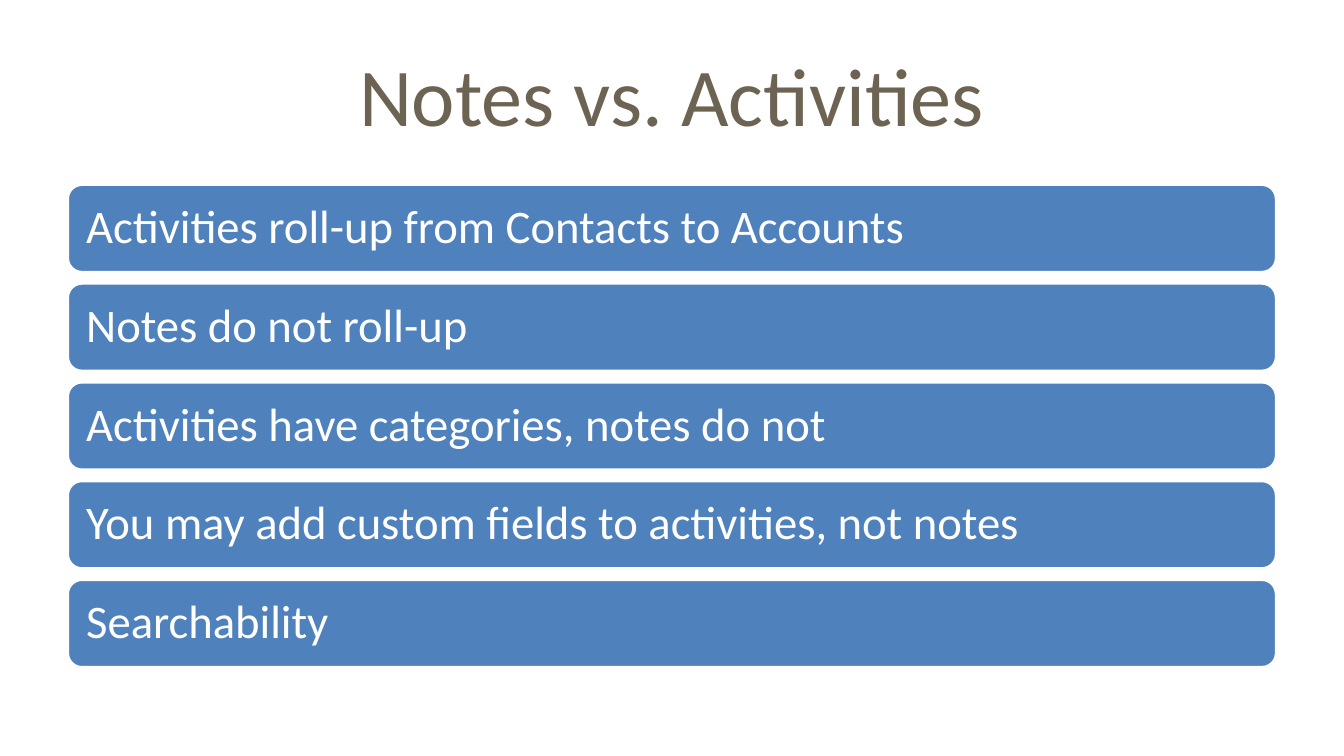
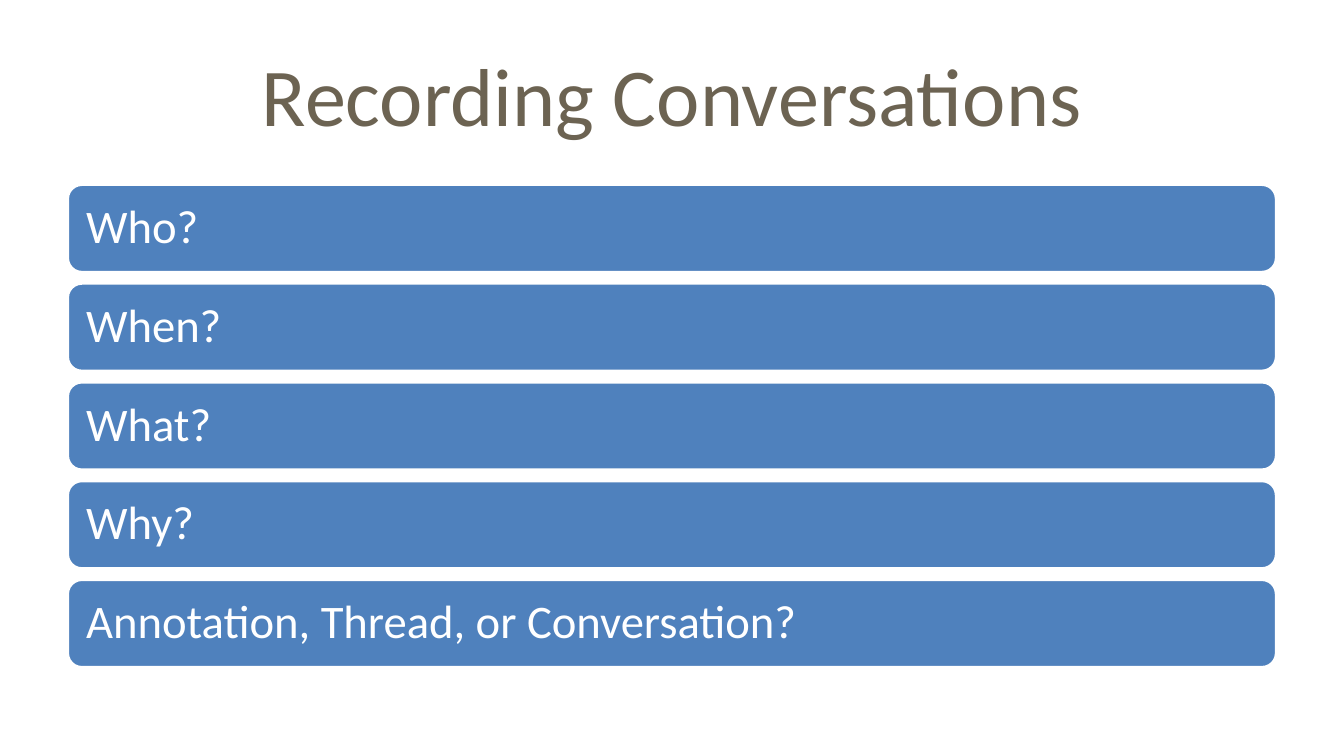
from pptx import Presentation
from pptx import util as u
from pptx.dml.color import RGBColor
from pptx.enum import shapes, text

# Shared style
TAUPE = RGBColor(0x6C, 0x63, 0x52)
BLUE = RGBColor(0x4F, 0x81, 0xBD)
WHITE = RGBColor(0xFF, 0xFF, 0xFF)
FONT = "Calibri"

# Shared grid
LEFT, WIDTH = 0.5, 9
FIRST_TOP, LAST_TOP, BAR_HEIGHT = 1.37, 4.31, 0.66

# Content: title and bars of each slide
TOPICS = [
    ("Notes vs. Activities", [
        "Activities roll-up from Contacts to Accounts",
        "Notes do not roll-up",
        "Activities have categories, notes do not",
        "You may add custom fields to activities, not notes",
        "Searchability",
    ]),
    ("Recording Conversations", [
        "Who?",
        "When?",
        "What?",
        "Why?",
        "Annotation, Thread, or Conversation?",
    ]),
]


def write(frame, wording, size, color, alignment):
    frame.text = wording
    frame.word_wrap = True
    frame.vertical_anchor = text.MSO_ANCHOR.MIDDLE
    paragraph = frame.paragraphs[0]
    paragraph.alignment = alignment
    paragraph.font.name = FONT
    paragraph.font.size = u.Pt(size)
    paragraph.font.color.rgb = color
    return paragraph


# Widescreen deck, 16:9
deck = Presentation()
deck.slide_width = u.Inches(10)
deck.slide_height = u.Inches(10 * 9 / 16)
title_only = deck.slide_layouts[5]

for heading, points in TOPICS:
    slide = deck.slides.add_slide(title_only)

    # Title
    title = slide.shapes.title
    title.left, title.top = u.Inches(LEFT), u.Inches(0.23)
    title.width, title.height = u.Inches(WIDTH), u.Inches(0.94)
    write(title.text_frame, heading, 44, TAUPE, text.PP_ALIGN.CENTER)

    # Stack of evenly spaced rounded bars
    step = (LAST_TOP - FIRST_TOP) / (len(points) - 1)
    for row, point in enumerate(points):
        bar = slide.shapes.add_shape(
            shapes.MSO_SHAPE.ROUNDED_RECTANGLE,
            u.Inches(LEFT), u.Inches(FIRST_TOP + row * step),
            u.Inches(WIDTH), u.Inches(BAR_HEIGHT))
        bar.shadow.inherit = False
        bar.fill.solid()
        bar.fill.fore_color.rgb = BLUE
        bar.line.color.rgb = WHITE
        bar.line.width = u.Pt(2)
        label = bar.text_frame
        label.margin_left = label.margin_right = u.Inches(0.11)
        label.margin_top = label.margin_bottom = u.Inches(0.1)
        write(label, point, 25, WHITE, text.PP_ALIGN.LEFT).line_spacing = 0.9

deck.save("out.pptx")
